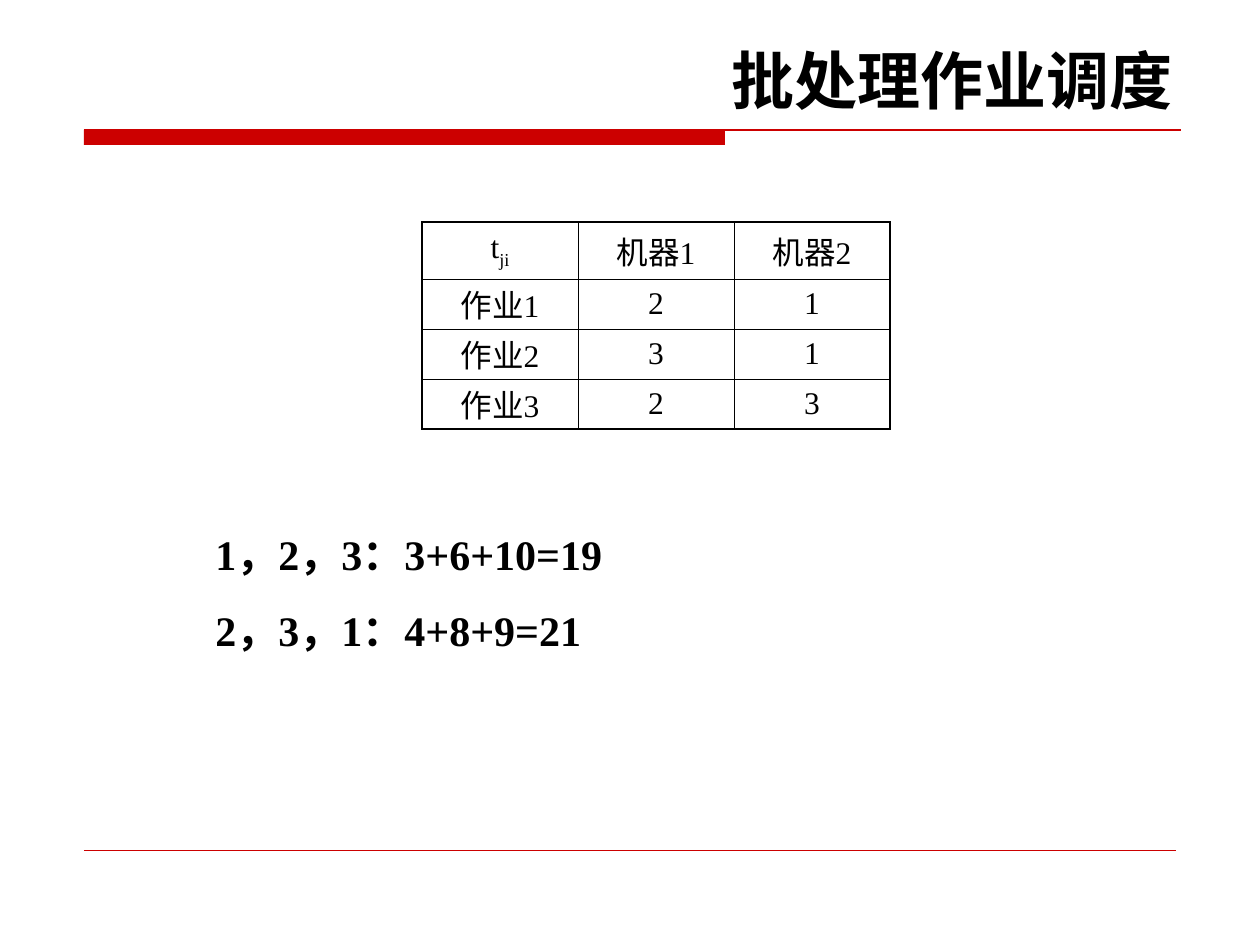
"""Build the batch job scheduling slide."""
from lxml.etree import SubElement
from pptx import Presentation
from pptx.dml.color import RGBColor
from pptx.enum.shapes import MSO_CONNECTOR as Connector, MSO_SHAPE as Shape
from pptx.enum.text import MSO_ANCHOR as Anchor, MSO_AUTO_SIZE as AutoSize, PP_ALIGN as Align
from pptx.oxml.ns import qn
from pptx.util import Emu, Pt

COLORS = {"ink": "000000", "accent": "CC0000"}
SANS, SERIF = "DejaVu Sans", "Times New Roman"
SCALE = 914400 / 126


def px(*lengths):
    return [Emu(round(length * SCALE)) for length in lengths]


def color(name):
    return RGBColor.from_string(COLORS[name])


class SlideBuilder:
    def __init__(self, deck):
        self.page = deck.slides.add_slide(deck.slide_layouts[5])

    def style(self, para, size, name, bold=False, align=Align.LEFT):
        para.alignment = align
        for span in para.runs:
            span.font.size, span.font.name, span.font.bold = Pt(size), name, bold
            span.font.color.rgb = color("ink")

    def title(self, text, *place):
        box = self.page.shapes.title
        box.left, box.top, box.width, box.height = px(*place)
        frame = box.text_frame
        frame.text = text
        frame.vertical_anchor = Anchor.TOP
        frame.auto_size = AutoSize.NONE
        para = frame.paragraphs[0]
        para.space_before = Pt(0)
        self.style(para, 36, SANS, True, Align.RIGHT)

    def bar(self, *place):
        bar = self.page.shapes.add_shape(Shape.RECTANGLE, *px(*place))
        bar.shadow.inherit = False
        bar.fill.solid()
        bar.fill.fore_color.rgb = color("accent")
        bar.line.fill.background()

    def rule(self, left, right, top, weight):
        rule = self.page.shapes.add_connector(Connector.STRAIGHT, *px(left, top, right, top))
        rule.line.color.rgb = color("accent")
        rule.line.width = Pt(weight)
        SubElement(rule._element.spPr, qn("a:effectLst"))

    def text(self, lines, gap, *place):
        frame = self.page.shapes.add_textbox(*px(*place)).text_frame
        frame.word_wrap = True
        frame.text = "\n".join(lines)
        for index, para in enumerate(frame.paragraphs):
            para.space_before = Pt(gap if index else 0)
            self.style(para, 24, SERIF, True)

    def borders(self, cell, outer_sides):
        properties = cell._tc.get_or_add_tcPr()
        for position, side in enumerate(("lnL", "lnR", "lnT", "lnB")):
            width = Pt(1.08 if side in outer_sides else 0.45)
            edge = SubElement(properties, qn(f"a:{side}"), w=str(width))
            fill = SubElement(edge, qn("a:solidFill"))
            SubElement(fill, qn("a:srgbClr"), val=COLORS["ink"])

    def table(self, rows, left, top, column_width, row_heights):
        last_row, last_column = len(rows) - 1, len(rows[0]) - 1
        place = px(left, top, column_width * len(rows[0]), sum(row_heights))
        table = self.page.shapes.add_table(len(rows), len(rows[0]), *place).table
        table.first_row = table.horz_banding = False
        for column in table.columns:
            column.width = px(column_width)[0]
        for y, (values, height) in enumerate(zip(rows, row_heights)):
            table.rows[y].height = px(height)[0]
            for x, value in enumerate(values):
                cell = table.cell(y, x)
                cell.vertical_anchor = Anchor.MIDDLE
                cell.margin_top = cell.margin_bottom = 0
                edges = {"lnL": x == 0, "lnR": x == last_column, "lnT": y == 0, "lnB": y == last_row}
                self.borders(cell, [side for side, outer in edges.items() if outer])
                cell.fill.background()
                para = cell.text_frame.paragraphs[0]
                base, _, subscript = value.partition("_")
                para.text = base
                if subscript:
                    span = para.add_run()
                    span.text = subscript
                    span.font._element.set("baseline", "-25000")
                self.style(para, 18, SERIF, align=Align.CENTER)


def main():
    deck = Presentation()
    deck.slide_width, deck.slide_height = px(1260, 945)
    slide = SlideBuilder(deck)
    slide.bar(84, 130, 641, 15)
    slide.rule(84, 1181, 130, 0.75)
    slide.rule(84, 1176, 850, 0.25)
    slide.title("批处理作业调度", 64, 35, 1121, 88)
    rows = [
        ("t_ji", "机器1", "机器2"),
        ("作业1", "2", "1"),
        ("作业2", "3", "1"),
        ("作业3", "2", "3"),
    ]
    slide.table(rows, 422, 222, 156, [57, 50, 50, 50])
    slide.text(["1，2，3：3+6+10=19", "2，3，1：4+8+9=21"], 15, 203, 522, 735, 140)
    deck.save("out.pptx")


if __name__ == "__main__":
    main()
